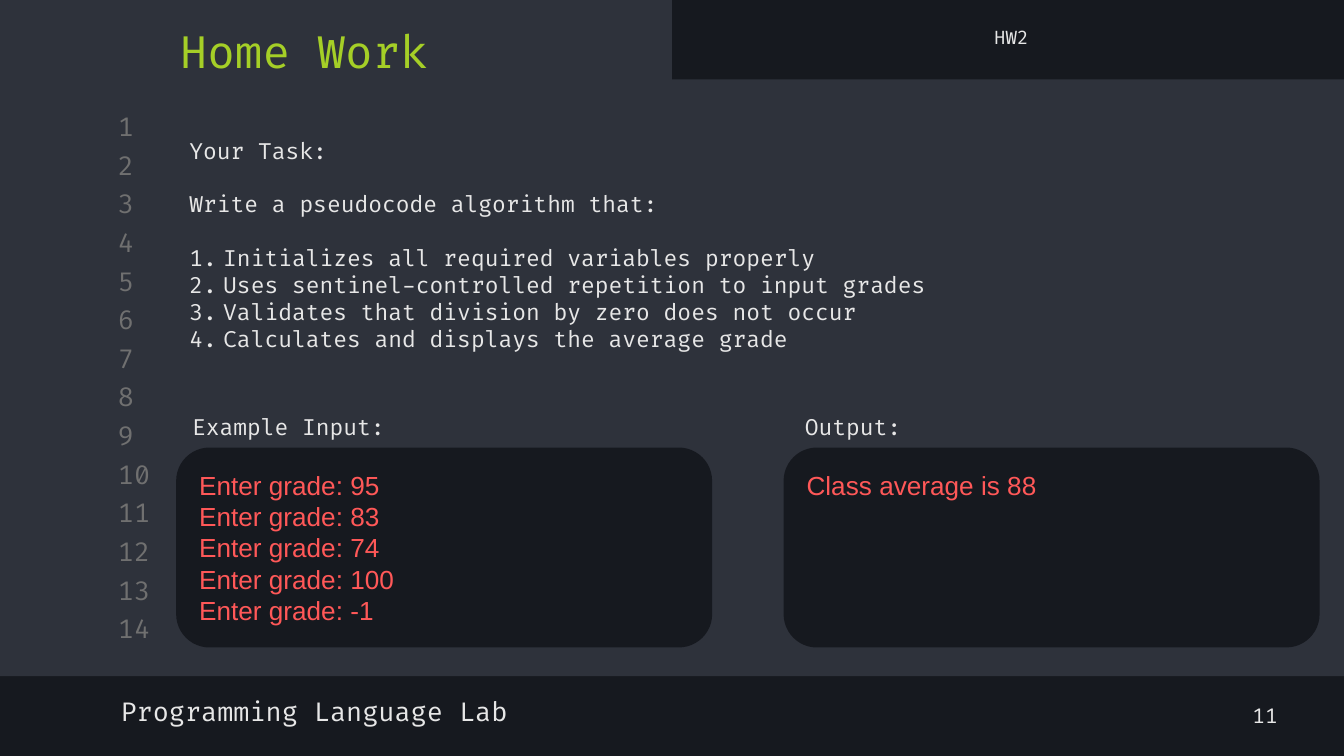
from lxml import etree
from pptx import Presentation
from pptx.dml.color import RGBColor
from pptx.enum.shapes import MSO_SHAPE
from pptx.enum.text import MSO_ANCHOR, PP_ALIGN
from pptx.oxml.ns import qn
from pptx.util import Cm, Pt

DARK = RGBColor(0x16, 0x19, 0x1F)
PANEL = RGBColor(0x2E, 0x32, 0x3B)
GREY = RGBColor(0x70, 0x70, 0x70)
LIGHT = RGBColor(0xE7, 0xE7, 0xE7)
GREEN = RGBColor(0xA5, 0xCF, 0x27)
RED = RGBColor(0xFF, 0x58, 0x58)

RECT, ROUNDED = MSO_SHAPE.RECTANGLE, MSO_SHAPE.ROUNDED_RECTANGLE
TOP, MIDDLE = MSO_ANCHOR.TOP, MSO_ANCHOR.MIDDLE
LEFT = PP_ALIGN.LEFT

CODE, PLAIN = "Fira Code", "Arial"
BLANK_LINE = Pt(14.4)
INSET = dict.fromkeys(
    ("margin_left", "margin_top", "margin_right", "margin_bottom"), Cm(0.25))

INTRO = ["Your Task:", "Write a pseudocode algorithm that:"]
STEPS = [
    "Initializes all required variables properly",
    "Uses sentinel-controlled repetition to input grades",
    "Validates that division by zero does not occur",
    "Calculates and displays the average grade",
]
GRADES = [95, 83, 74, 100, -1]


def set_all(obj, values):
    for name, value in values.items():
        setattr(obj, name, value)


def write(tf, lines, size, color, font=CODE):
    for i, line in enumerate(lines):
        p = tf.paragraphs[0] if i == 0 else tf.add_paragraph()
        p.alignment = LEFT
        r = p.add_run()
        r.text = line
        set_all(r.font, {"size": Pt(size), "name": font})
        r.font.color.rgb = color


def add_panel(s, box, fill, kind=RECT):
    sp = s.shapes.add_shape(kind, *map(Cm, box))
    sp.shadow.inherit = False
    sp.fill.solid()
    sp.fill.fore_color.rgb = fill
    sp.line.fill.background()
    return sp


def add_text(s, box, lines, size, color=LIGHT, **frame):
    tf = s.shapes.add_textbox(*map(Cm, box)).text_frame
    set_all(tf, {"word_wrap": True, **frame})
    write(tf, lines, size, color)
    return tf


def number(p):
    pPr = p._p.get_or_add_pPr()
    pPr.set("marL", str(Cm(0.64)))
    pPr.set("indent", str(-Cm(0.64)))
    clr = etree.SubElement(pPr, qn("a:buClr"))
    etree.SubElement(clr, qn("a:srgbClr"), val=str(LIGHT))
    etree.SubElement(pPr, qn("a:buAutoNum"), type="arabicPeriod")


def add_line_numbers(s, box, count, pitch):
    """Number lines downwards; box is the place of the first number."""
    x, y, w, h = box
    for i in range(count):
        add_text(s, (x, y + i * pitch, w, h), [str(i + 1)], 14, GREY,
                 vertical_anchor=MIDDLE, **INSET)


def add_task(s, box):
    tf = add_text(s, box, INTRO + STEPS, 12)
    first_step = len(INTRO)
    for p in tf.paragraphs[first_step:]:
        number(p)
    for p in tf.paragraphs[1:first_step + 1]:
        p.space_before = BLANK_LINE


def add_console(s, box, label, label_x, lines):
    x, y, w, h = box
    tf = add_panel(s, box, DARK, ROUNDED).text_frame
    set_all(tf, {"vertical_anchor": TOP, "margin_top": Cm(0.22)})
    write(tf, lines, 14, RED, PLAIN)
    add_text(s, (label_x, y - 0.77, 4.37, 0.77), [label], 12)


def add_footer(s, box):
    x, y, w, h = box
    frame = {"vertical_anchor": MIDDLE, **INSET}
    add_text(s, (x, y, 13.5, h), ["Programming Language Lab"], 14, **frame)
    add_text(s, (x + w - 1.07, y + 0.08, 1.07, h), ["11"], 11, **frame)


def main():
    prs = Presentation()
    set_all(prs, {"slide_width": Cm(25.4), "slide_height": Cm(14.29)})
    s = prs.slides.add_slide(prs.slide_layouts[6])
    s.background.fill.solid()
    s.background.fill.fore_color.rgb = DARK

    add_panel(s, (0, 1.5, 25.4, 11.28), PANEL)
    add_panel(s, (0, 0, 12.7, 1.75), PANEL)
    add_line_numbers(s, (1.98, 2.08, 1.19, 0.61), 14, 0.73)
    add_text(s, (3.15, 0.33, 12.7, 1.27), ["Home Work"], 24, GREEN)
    add_text(s, (18.54, 0.36, 6.86, 0.69), ["HW2"], 10)
    add_task(s, (3.33, 2.46, 21.82, 4.37))
    add_console(s, (3.33, 8.46, 10.13, 3.78), "Example Input:", 3.38,
                [f"Enter grade: {grade}" for grade in GRADES])
    add_console(s, (14.81, 8.46, 10.13, 3.78), "Output:", 14.96,
                ["Class average is 88"])
    add_footer(s, (2.03, 12.95, 22.46, 0.99))
    prs.save("out.pptx")


if __name__ == "__main__":
    main()
